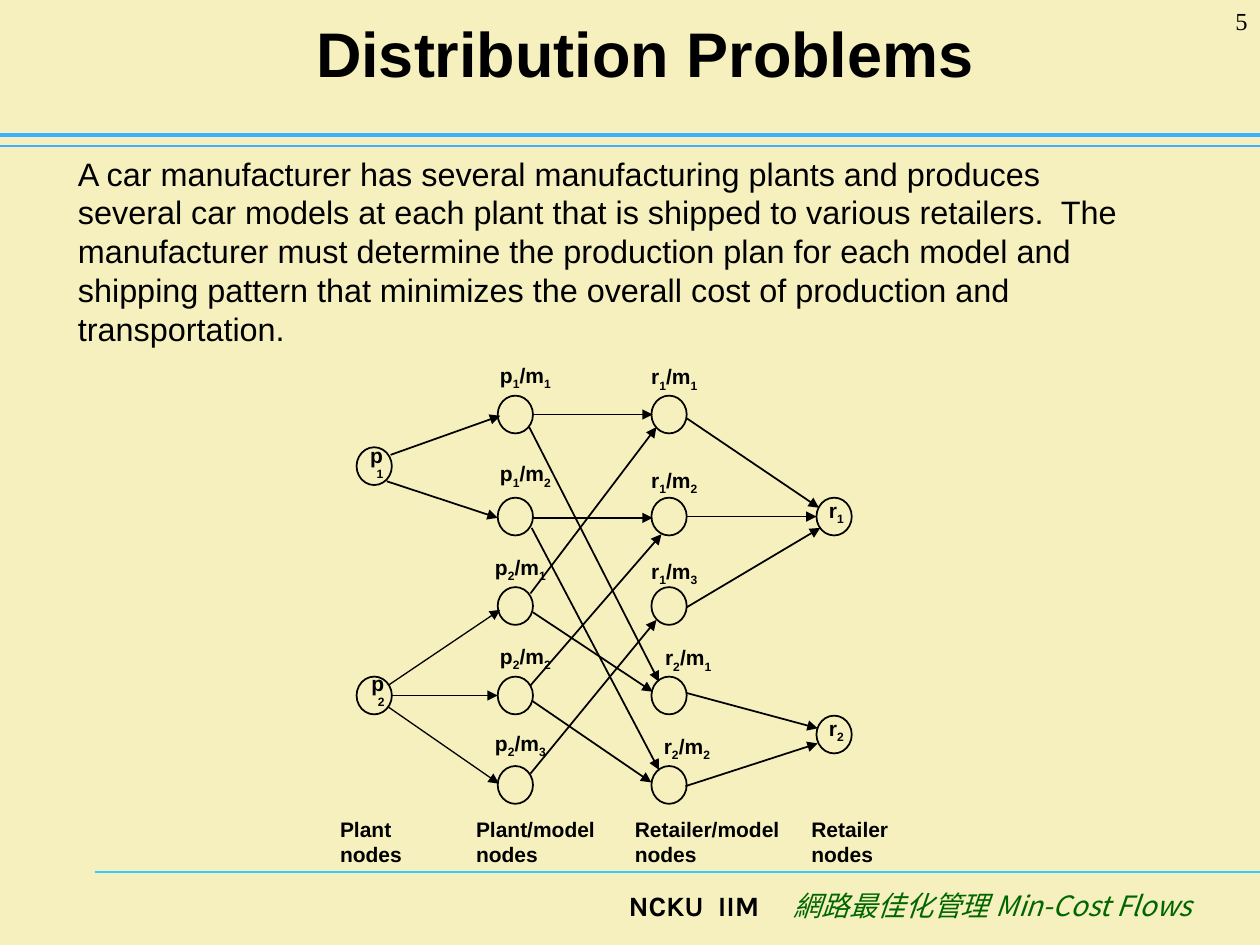
from dataclasses import dataclass
from itertools import groupby

from lxml import etree
from pptx import Presentation
from pptx import util as u
from pptx.dml.color import RGBColor
from pptx.enum import shapes, text
from pptx.oxml.ns import qn


@dataclass(frozen=True)
class Theme:
    background: str = "F5F0BD"
    ink: str = "000000"
    rule: str = "3DB0FF"
    footer_rule: str = "33CCFF"
    course: str = "006600"
    sans: str = "Arial"
    serif: str = "Times New Roman"
    school_font: str = "Karla"
    course_font: str = "Noto Sans CJK SC"
    title_size: float = 36
    body_size: float = 18.5
    label_size: float = 12
    footer_size: float = 16
    number_size: float = 14


NODE_WIDTH, NODE_HEIGHT = 0.28, 0.3
MODEL_ROWS = (3.14, 3.95, 4.66, 5.37, 6.08)
NODES = (
    [(2.83, top) for top in (3.55, 5.37)]
    + [(left, top) for left in (3.95, 5.17) for top in MODEL_ROWS]
    + [(6.48, top) for top in (3.95, 5.68)]
)

# Each arc is start x, start y, end x, end y.
ARCS = [
    (3.1, 3.61, 3.97, 3.3), (3.07, 3.82, 3.95, 4.11), (3.1, 5.52, 3.95, 5.52),
    (5.44, 6.24, 6.49, 5.9), (5.45, 5.5, 6.49, 5.78), (5.45, 4.1, 6.48, 4.1),
    (5.45, 4.82, 6.51, 4.19), (5.45, 3.32, 6.5, 4.03), (4.23, 3.29, 5.18, 3.29),
    (4.23, 4.11, 5.18, 4.11), (4.21, 4.71, 5.21, 3.39), (4.23, 4.86, 5.18, 5.49),
    (4.22, 5.56, 5.17, 6.21), (4.21, 6.14, 5.21, 4.92), (4.21, 5.44, 5.25, 4.24),
    (4.2, 3.39, 5.23, 5.41), (4.22, 4.19, 5.23, 6.11),
]
THIN_ARCS = [(3.08, 5.44, 3.97, 4.84), (3.08, 5.61, 3.96, 6.22)]

# Each label is text, left, top, width, height; its digits are subscripts.
NODE_LABELS = [
    ("r1", 6.48, 3.9, 0.32, 0.33), ("r2", 6.48, 5.63, 0.32, 0.33),
    ("p", 2.84, 3.46, 0.3, 0.3), ("1", 2.89, 3.54, 0.25, 0.33),
    ("p", 2.85, 5.27, 0.3, 0.3), ("2", 2.9, 5.35, 0.25, 0.33),
]
MODEL_LABELS = [
    ("p1/m1", 3.87, 2.83), ("p1/m2", 3.87, 3.61), ("p2/m1", 3.83, 4.35),
    ("p2/m2", 3.87, 5.06), ("p2/m3", 3.83, 5.75), ("r1/m1", 5.07, 2.84),
    ("r1/m2", 5.07, 3.66), ("r1/m3", 5.07, 4.38), ("r2/m1", 5.18, 5.07),
    ("r2/m2", 5.17, 5.77),
]
COLUMN_LABELS = [
    ("Plant", 2.6, 0.69), ("Plant/model", 3.68, 1.14),
    ("Retailer/model", 4.94, 1.35), ("Retailer", 6.34, 0.81),
]
BODY = (
    "A car manufacturer has several manufacturing plants and produces several "
    "car models at each plant that is shipped to various retailers.  The "
    "manufacturer must determine the production plan for each model and shipping "
    "pattern that minimizes the overall cost of production and transportation."
)


class SlideBuilder:
    def __init__(self, slide, theme):
        self.slide = slide
        self.theme = theme
        fill = slide.background.fill
        fill.solid()
        fill.fore_color.rgb = RGBColor.from_string(theme.background)

    def run(self, paragraph, words, size, name=None, color=None, subscript=False, **values):
        run = paragraph.add_run()
        run.text = words
        name = name or self.theme.sans
        for key, value in {"size": u.Pt(size), "name": name, **values}.items():
            setattr(run.font, key, value)
        run.font.color.rgb = RGBColor.from_string(color or self.theme.ink)
        properties = run._r.get_or_add_rPr()
        etree.SubElement(properties, qn("a:ea")).set("typeface", name)
        if subscript:
            properties.set("baseline", "-25000")

    def title(self, words, left, top, width, height):
        shape = self.slide.shapes.title
        box = {"left": left, "top": top, "width": width, "height": height}
        for key, value in box.items():
            setattr(shape, key, u.Inches(value))
        frame = shape.text_frame
        frame.word_wrap = True
        frame.vertical_anchor = text.MSO_ANCHOR.MIDDLE
        frame.paragraphs[0].alignment = text.PP_ALIGN.CENTER
        self.run(frame.paragraphs[0], words, self.theme.title_size, bold=True)

    def text_box(self, left, top, width, height, **values):
        """Add an empty box, format its first paragraph and return its frame."""
        frame = self.slide.shapes.add_textbox(
            *map(u.Inches, (left, top, width, height))).text_frame
        frame.word_wrap = True
        for key, value in values.items():
            setattr(frame.paragraphs[0], key, value)
        return frame

    def label(self, lines, left, top, width, height):
        """Add bold lines of text, with digits lowered to subscripts."""
        frame = self.text_box(left, top, width, height)
        frame.margin_right = 0  # leaves room for each line to stay whole
        for index, line in enumerate(lines):
            paragraph = frame.add_paragraph() if index else frame.paragraphs[0]
            for is_digit, part in groupby(line, str.isdigit):
                self.run(paragraph, "".join(part), self.theme.label_size,
                         subscript=is_digit, bold=True)

    def node(self, left, top):
        shape = self.slide.shapes.add_shape(
            shapes.MSO_SHAPE.OVAL,
            *map(u.Inches, (left, top, NODE_WIDTH, NODE_HEIGHT)))
        shape.shadow.inherit = False
        shape.fill.solid()
        shape.fill.fore_color.rgb = RGBColor.from_string(self.theme.background)
        shape.line.color.rgb = RGBColor.from_string(self.theme.ink)
        shape.line.width = u.Pt(1)

    def line(self, ends, color, weight, arrow=False):
        connector = self.slide.shapes.add_connector(
            shapes.MSO_CONNECTOR.STRAIGHT, *map(u.Inches, ends))
        connector.line.color.rgb = RGBColor.from_string(color)
        connector.line.width = u.Pt(weight)
        if arrow:
            outline = connector.line._get_or_add_ln()
            etree.SubElement(outline, qn("a:tailEnd")).set("type", "triangle")
        etree.SubElement(connector._element.spPr, qn("a:effectLst"))

    def footer(self, school, course, left, top, width, height, tab):
        """Add the two footer parts on one line, the second at a tab stop."""
        paragraph = self.text_box(left, top, width, height).paragraphs[0]
        stops = etree.SubElement(paragraph._p.get_or_add_pPr(), qn("a:tabLst"))
        stop = etree.SubElement(stops, qn("a:tab"))
        stop.set("pos", str(u.Inches(tab)))
        stop.set("algn", "l")
        theme = self.theme
        self.run(paragraph, school + "\t", theme.footer_size, theme.school_font, bold=True)
        self.run(paragraph, course, theme.footer_size, theme.course_font,
                 theme.course, italic=True)


def main():
    presentation = Presentation()
    presentation.slide_width = u.Inches(10)
    presentation.slide_height = u.Inches(7.5)
    theme = Theme()
    builder = SlideBuilder(
        presentation.slides.add_slide(presentation.slide_layouts[5]), theme)

    builder.line((0.75, 6.92, 10, 6.92), theme.footer_rule, 0.75)
    builder.line((0, 1.16, 10, 1.16), theme.rule, 0.75)
    builder.line((0, 1.07, 10, 1.07), theme.rule, 2.5)
    builder.footer("NCKU  IIM", "網路最佳化管理 Min-Cost Flows", 4.89, 7, 4.82, 0.5, tab=1.31)

    builder.title("Distribution Problems", 0.73, 0.23, 8.78, 0.37)
    body = builder.text_box(0.52, 1.17, 8.71, 1.69)
    builder.run(body.paragraphs[0], BODY, theme.body_size)

    for node in NODES:
        builder.node(*node)
    for arcs, weight in ((ARCS, 1), (THIN_ARCS, 0.75)):
        for ends in arcs:
            builder.line(ends, theme.ink, weight, arrow=True)
    for words, *box in NODE_LABELS:
        builder.label([words], *box)
    for words, left, top in MODEL_LABELS:
        builder.label([words], left, top, 0.6 if words[0] == "p" else 0.56, 0.33)
    for words, left, width in COLUMN_LABELS:
        builder.label([words, "nodes"], left, 6.43, width, 0.5)

    number = builder.text_box(9.17, 0, 0.83, 0.5, alignment=text.PP_ALIGN.RIGHT)
    builder.run(number.paragraphs[0], "5", theme.number_size, theme.serif)

    presentation.save("out.pptx")


if __name__ == "__main__":
    main()
